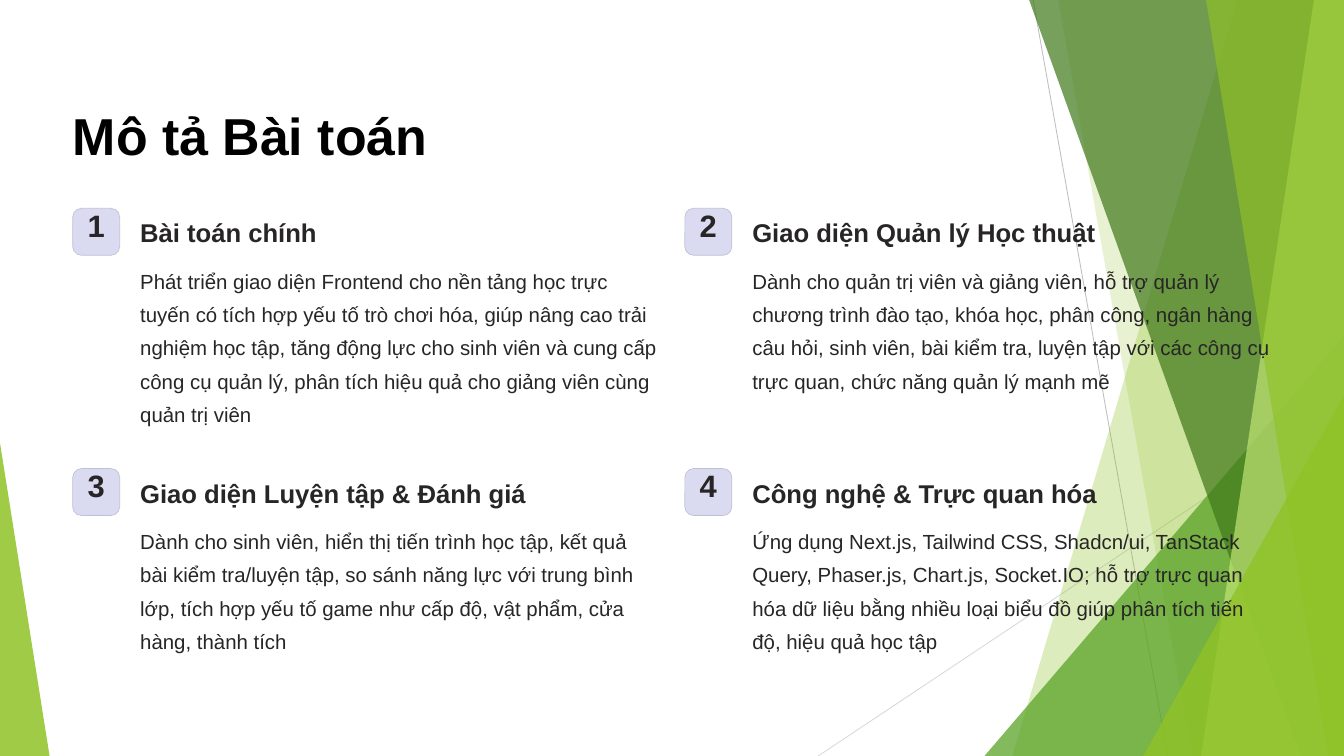
from lxml.etree import SubElement
from pptx import Presentation
from pptx.dml.color import RGBColor
from pptx.enum.shapes import MSO_CONNECTOR, MSO_SHAPE
from pptx.enum.text import MSO_ANCHOR, MSO_AUTO_SIZE, PP_ALIGN
from pptx.oxml.ns import qn
from pptx.util import Cm, Pt

WIDE, HIGH = 40.64, 22.86
COLORS = {
    "black": "000000", "ink": "272525", "badge": "DADBF1", "edge": "C0C1D7",
    "lime": "90C226", "green": "54A021", "dark": "3F7819", "pale": "C0E474",
    "gray": "BFBFBF", "light": "D9D9D9",
}
STYLES = {
    "title": {"size": 44.5, "bold": True, "color": "black", "line": 55.5},
    "num": {"size": 26.5, "bold": True, "color": "ink", "line": 26.5},
    "head": {"size": 22, "bold": True, "color": "ink", "line": 27.5},
    "body": {"size": 17.5, "bold": False, "color": "ink", "line": 28.5},
}
LINES = [
    ("gray", 31.24, 0, 35.31, HIGH),
    ("light", WIDE, 12.27, 24.74, HIGH),
]
# Bands give the top and bottom x of their left edge; triangles give a box and apex.
FACETS = [
    ("band", "lime", 30, (37.41, 30.61)),
    ("band", "lime", 20, (32, 36.04)),
    ("tri", "green", 72, (29.77, 10.16, 10.87, 12.7, 1)),
    ("band", "dark", 70, (31.12, 39.34)),
    ("band", "pale", 70, (39.73, 36.32)),
    ("band", "lime", 65, (36.47, 40.16)),
    ("tri", "lime", 80, (34.57, 11.96, 6.07, 10.9, 1)),
    ("tri", "lime", 85, (0, 13.39, 1.5, 9.47, 0)),
]
TOPICS = [
    ("Bài toán chính",
     "Phát triển giao diện Frontend cho nền tảng học trực tuyến có tích hợp yếu tố "
     "trò chơi hóa, giúp nâng cao trải nghiệm học tập, tăng động lực cho sinh viên "
     "và cung cấp công cụ quản lý, phân tích hiệu quả cho giảng viên cùng quản trị viên"),
    ("Giao diện Quản lý Học thuật",
     "Dành cho quản trị viên và giảng viên, hỗ trợ quản lý chương trình đào tạo, "
     "khóa học, phân công, ngân hàng câu hỏi, sinh viên, bài kiểm tra, luyện tập "
     "với các công cụ trực quan, chức năng quản lý mạnh mẽ"),
    ("Giao diện Luyện tập & Đánh giá",
     "Dành cho sinh viên, hiển thị tiến trình học tập, kết quả bài kiểm tra/luyện tập, "
     "so sánh năng lực với trung bình lớp, tích hợp yếu tố game như cấp độ, vật phẩm, "
     "cửa hàng, thành tích"),
    ("Công nghệ & Trực quan hóa",
     "Ứng dụng Next.js, Tailwind CSS, Shadcn/ui, TanStack Query, Phaser.js, Chart.js, "
     "Socket.IO; hỗ trợ trực quan hóa dữ liệu bằng nhiều loại biểu đồ giúp phân tích "
     "tiến độ, hiệu quả học tập"),
]


def tint(name):
    return RGBColor.from_string(COLORS[name])


def paint(shape, color, alpha=100):
    """Fill a shape, with alpha as percent opacity, and drop its line and shadow."""
    shape.shadow.inherit = False
    shape.line.fill.background()
    shape.fill.solid()
    shape.fill.fore_color.rgb = tint(color)
    if alpha < 100:
        node = shape.fill._xPr.find(".//" + qn("a:srgbClr"))
        SubElement(node, qn("a:alpha")).set("val", str(alpha * 1000))


def write(shape, text, style, align=PP_ALIGN.LEFT, wrap=False):
    look = STYLES[style]
    frame = shape.text_frame
    frame.text = text
    format = {
        "margin_left": 0, "margin_top": 0, "margin_right": 0, "margin_bottom": 0,
        "word_wrap": wrap, "vertical_anchor": MSO_ANCHOR.TOP,
        "auto_size": MSO_AUTO_SIZE.NONE,
    }
    for key, value in format.items():
        setattr(frame, key, value)
    para = frame.paragraphs[0]
    para.alignment = align
    para.line_spacing = Pt(look["line"])
    para.space_before = Pt(0)
    font = para.runs[0].font
    for key, value in {"name": "Arial", "size": Pt(look["size"]),
                       "bold": look["bold"]}.items():
        setattr(font, key, value)
    font.color.rgb = tint(look["color"])


def label(slide, box, *args, **kwargs):
    write(slide.shapes.add_textbox(*map(Cm, box)), *args, **kwargs)


def backdrop(slide, wide, high):
    for color, *ends in LINES:
        line = slide.shapes.add_connector(MSO_CONNECTOR.STRAIGHT, *map(Cm, ends))
        line.line.color.rgb = tint(color)
        line.line.width = Pt(0.75)
        SubElement(line._element.spPr, qn("a:effectLst"))
    for kind, color, alpha, data in FACETS:
        if kind == "band":
            top, low = data
            pen = slide.shapes.build_freeform(Cm(top), 0)
            edge = [(wide, 0), (wide, high), (low, high)]
            pen.add_line_segments([(Cm(x), Cm(y)) for x, y in edge])
            facet = pen.convert_to_shape()
        else:
            *box, apex = data
            facet = slide.shapes.add_shape(MSO_SHAPE.ISOSCELES_TRIANGLE, *map(Cm, box))
            facet.adjustments[0] = apex
        paint(facet, color, alpha)


def heading(slide, box, text):
    title = slide.shapes.title
    title.left, title.top, title.width, title.height = map(Cm, box)
    write(title, text, "title")


def topic(slide, box, num, head, body):
    """Place a numbered badge with its heading and body inside the box."""
    left, top, wide, high = box
    side, inset = 1.42, 2.04
    badge = slide.shapes.add_shape(
        MSO_SHAPE.ROUNDED_RECTANGLE, *map(Cm, (left, top, side, side)))
    badge.adjustments[0] = 0.187
    paint(badge, "badge")
    badge.line.color.rgb = tint("edge")
    badge.line.width = Pt(0.6)
    label(slide, (left + 0.24, top + 0.12, side - 0.48, 1.2), str(num), "num",
          align=PP_ALIGN.CENTER)
    label(slide, (left + inset, top + 0.23, wide - inset, 1), head, "head")
    label(slide, (left + inset, top + 1.57, wide - inset, high - 1.57), body, "body",
          wrap=True)


def topics(slide, box):
    """Lay the topics out in two columns and two rows."""
    left, top, wide, high = box
    gap_x, gap_y = 0.8, 1.27
    cell_w, cell_h = (wide - gap_x) / 2, (high - gap_y) / 2
    for i, (head, body) in enumerate(TOPICS):
        row, col = divmod(i, 2)
        cell = (left + col * (cell_w + gap_x), top + row * (cell_h + gap_y),
                cell_w, cell_h)
        topic(slide, cell, i + 1, head, body)


def main():
    deck = Presentation()
    deck.slide_width, deck.slide_height = Cm(WIDE), Cm(HIGH)
    slide = deck.slides.add_slide(deck.slide_layouts[5])
    backdrop(slide, WIDE, HIGH)
    heading(slide, (2.2, 3.07, 15.75, 1.98), "Mô tả Bài toán")
    topics(slide, (2.2, 6.3, 36.22, 14.47))
    deck.save("out.pptx")


if __name__ == "__main__":
    main()
